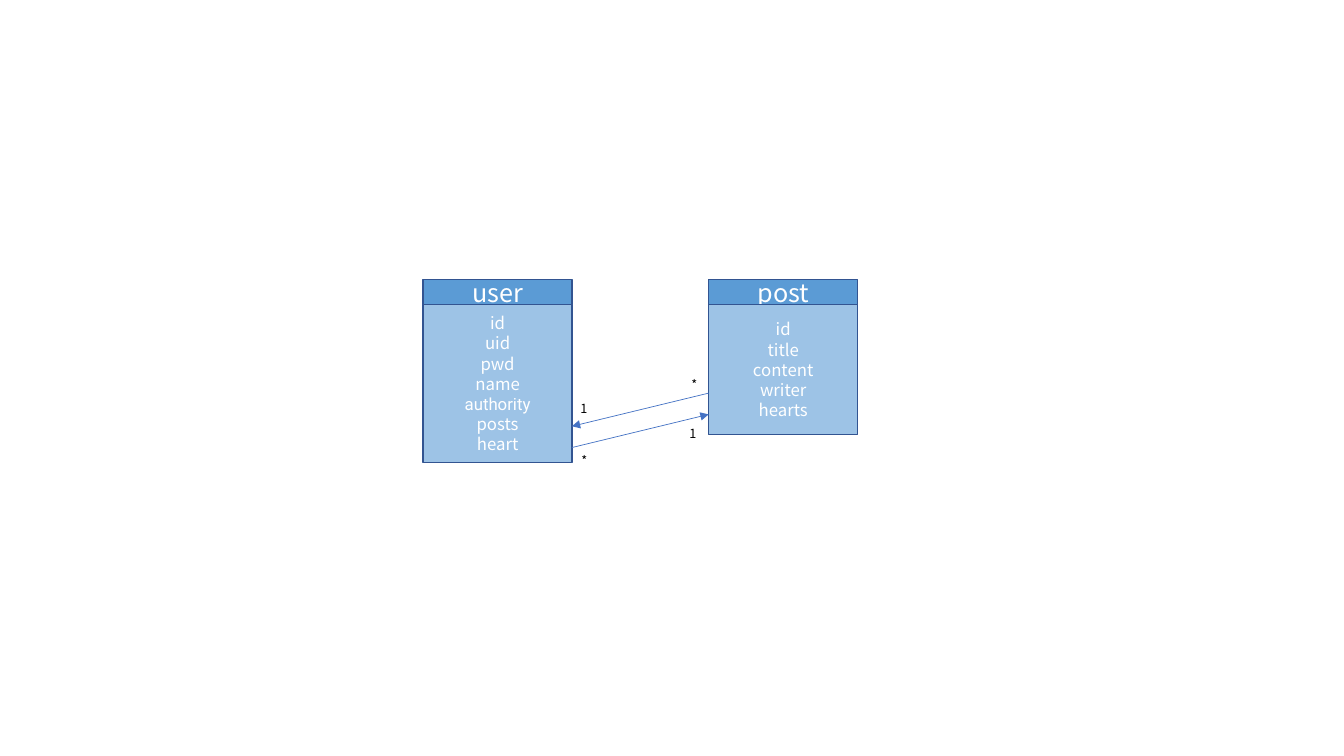
import pptx
import pptx.util
import pptx.dml.color
import pptx.enum.shapes
import pptx.enum.text
import pptx.oxml

Pt = pptx.util.Pt
RGBColor = pptx.dml.color.RGBColor

WHITE = RGBColor(0xFF, 0xFF, 0xFF)
BLACK = RGBColor(0, 0, 0)
HEADER_BLUE = RGBColor(0x5B, 0x9B, 0xD5)
FIELD_BLUE = RGBColor(0x9D, 0xC3, 0xE6)
BORDER_BLUE = RGBColor(0x32, 0x54, 0x91)
RELATION_BLUE = RGBColor(0x44, 0x72, 0xC4)
FONT = "Noto Sans CJK KR"
FIELD_FONTS = {"authority": "Roboto"}

ENTITY_TOP = 199.5
ENTITY_WIDTH = 106.5
HEADER_HEIGHT = 18


def write(frame, text, size, color, align=pptx.enum.text.PP_ALIGN.CENTER):
    for number, line in enumerate(text.split("\n")):
        paragraph = frame.add_paragraph() if number else frame.paragraphs[0]
        paragraph.alignment = align
        paragraph.line_spacing = Pt(size * 1.2)
        run = paragraph.add_run()
        run.text = line
        run.font.name = FIELD_FONTS.get(line, FONT)
        run.font.size = Pt(size)
        run.font.color.rgb = color


presentation = pptx.Presentation()
presentation.slide_width = Pt(960)
presentation.slide_height = Pt(540)
slide = presentation.slides.add_slide(presentation.slide_layouts[6])

entities = [
    ("user", 302.2, 113, "id\nuid\npwd\nname\nauthority\nposts\nheart"),
    ("post", 506.2, 92.9, "id\ntitle\ncontent\nwriter\nhearts"),
]
for entity, left, fields_height, fields in entities:
    sections = [
        (entity, ENTITY_TOP, HEADER_HEIGHT, HEADER_BLUE, 18),
        (fields, ENTITY_TOP + HEADER_HEIGHT, fields_height, FIELD_BLUE, 12),
    ]
    for text, top, height, fill, size in sections:
        section = slide.shapes.add_shape(
            pptx.enum.shapes.MSO_SHAPE.RECTANGLE,
            Pt(left), Pt(top), Pt(ENTITY_WIDTH), Pt(height))
        section.shadow.inherit = False
        section.fill.solid()
        section.fill.fore_color.rgb = fill
        section.line.color.rgb = BORDER_BLUE
        section.line.width = Pt(1)
        section.text_frame.vertical_anchor = pptx.enum.text.MSO_ANCHOR.MIDDLE
        write(section.text_frame, text, size, WHITE)

user_edge, post_edge = 408.5, 506.2
relations = [
    (user_edge, 319.7, post_edge, 296),
    (post_edge, 280.8, user_edge, 304.5),
]
for start_x, start_y, end_x, end_y in relations:
    relation = slide.shapes.add_connector(
        pptx.enum.shapes.MSO_CONNECTOR.STRAIGHT,
        Pt(start_x), Pt(start_y), Pt(end_x), Pt(end_y))
    relation.line.color.rgb = RELATION_BLUE
    relation.line.width = Pt(0.5)
    arrowhead = pptx.oxml.ns.qn("a:tailEnd")
    relation.line._get_or_add_ln().makeelement(arrowhead)
    head = relation.line._get_or_add_ln().makeelement(arrowhead, {"type": "triangle"})
    relation.line._get_or_add_ln().append(head)
    properties = relation._element.spPr
    properties.append(properties.makeelement(pptx.oxml.ns.qn("a:effectLst")))

multiplicities = [
    ("*", 486.7, 265.7, 18.7),
    ("*", 408.2, 319.7, 18.7),
    ("1", 407.5, 283, 19.4),
    ("1", 485.3, 301, 19.4),
]
for mark, left, top, width in multiplicities:
    multiplicity = slide.shapes.add_textbox(Pt(left), Pt(top), Pt(width), Pt(18))
    multiplicity.text_frame.word_wrap = False
    multiplicity.text_frame.auto_size = pptx.enum.text.MSO_AUTO_SIZE.SHAPE_TO_FIT_TEXT
    write(multiplicity.text_frame, mark, 9, BLACK, pptx.enum.text.PP_ALIGN.LEFT)

presentation.save("out.pptx")
